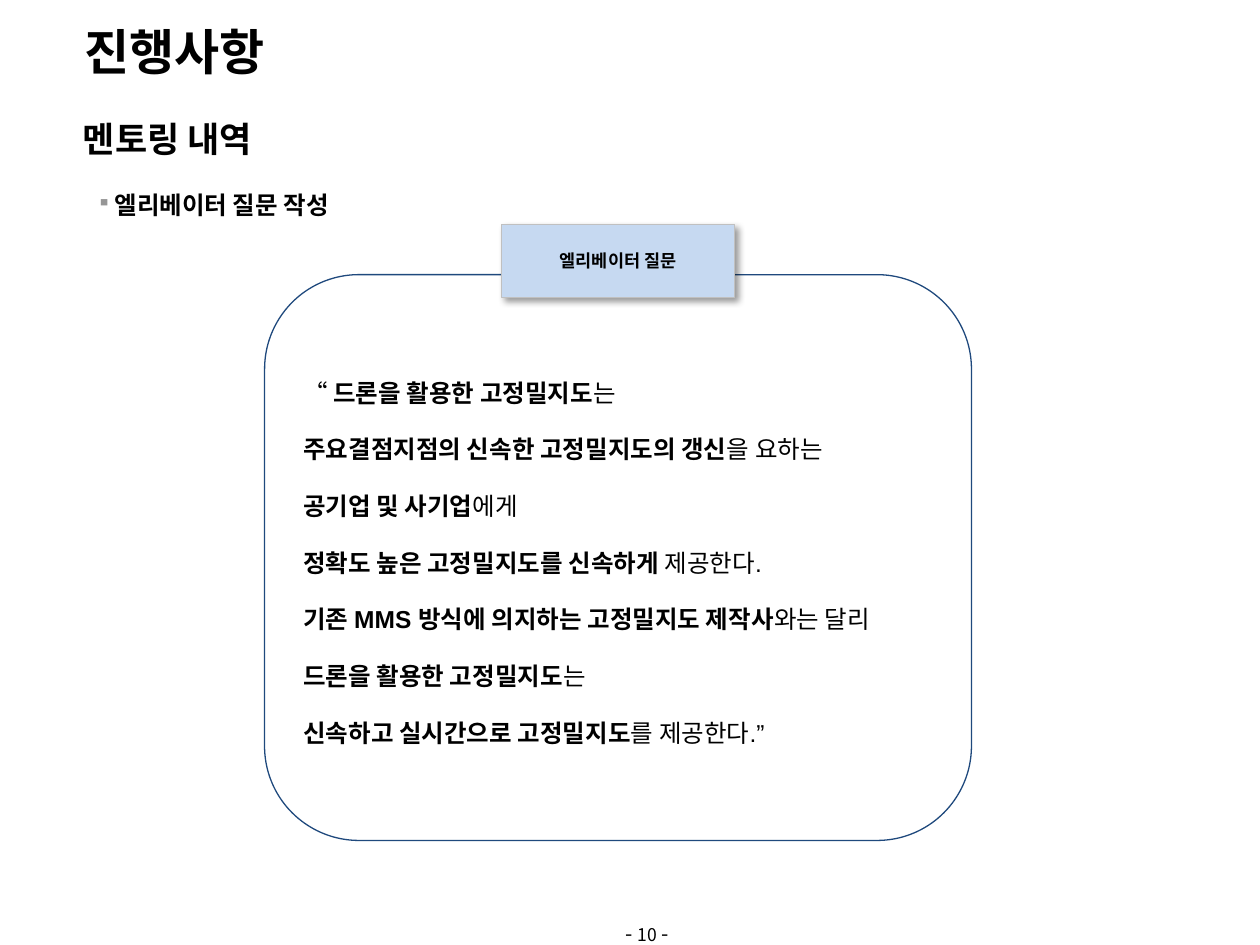
from lxml import etree
from pptx import Presentation
from pptx.dml.color import RGBColor
from pptx.enum.shapes import MSO_SHAPE
from pptx.enum.text import MSO_ANCHOR, PP_ALIGN
from pptx.oxml import parse_xml
from pptx.oxml.ns import nsdecls, qn
from pptx.util import Inches, Pt

LEFT, CENTER = PP_ALIGN.LEFT, PP_ALIGN.CENTER
TOP, MIDDLE = MSO_ANCHOR.TOP, MSO_ANCHOR.MIDDLE
TITLE_ONLY = 5
LATIN, KOREAN = "Arial", "Noto Sans CJK KR"
COLORS = {"text": "000000", "panel": "FFFFFF", "panel_line": "1F497D",
          "label": "C6D9F1", "label_line": "C0C0C0", "bullet": "969696"}

# Each line of the pitch: lead, stressed part, ending
PITCH = [
    ("“ ", "드론을 활용한 고정밀지도", "는"),
    ("", "주요결점지점의 신속한 고정밀지도의 갱신", "을 요하는"),
    ("", "공기업 및 사기업", "에게"),
    ("", "정확도 높은 고정밀지도를 신속하게", " 제공한다."),
    ("", "기존 MMS 방식에 의지하는 고정밀지도 제작사", "와는 달리"),
    ("", "드론을 활용한 고정밀지도", "는"),
    ("", "신속하고 실시간으로 고정밀지도", "를 제공한다.”"),
]


def rgb(name):
    return RGBColor.from_string(COLORS[name])


def set_values(target, values):
    for name, value in values.items():
        setattr(target, name, value)


def place(shape, left, top, width, height):
    set_values(shape, {"left": Inches(left), "top": Inches(top),
                       "width": Inches(width), "height": Inches(height)})


def add_span(para, text, size, bold=True, font=LATIN):
    span = para.add_run()
    span.text = text
    set_values(span.font, {"name": font, "size": Pt(size), "bold": bold})
    span.font.color.rgb = rgb("text")
    east_asian = etree.SubElement(span.font._element, qn("a:ea"))
    east_asian.set("typeface", KOREAN)


def add_box(slide, left, top, width, height, wrap=True):
    box = slide.shapes.add_textbox(*map(Inches, (left, top, width, height)))
    box.text_frame.word_wrap = wrap
    return box.text_frame


def add_panel(slide, kind, area, fill, line, line_width):
    panel = slide.shapes.add_shape(kind, *map(Inches, area))
    panel.shadow.inherit = False
    panel.fill.solid()
    panel.fill.fore_color.rgb = rgb(fill)
    panel.line.color.rgb = rgb(line)
    panel.line.width = Pt(line_width)
    return panel


def add_shadow(shape):
    effects = shape._element.spPr.find(qn("a:effectLst"))
    effects.append(parse_xml(
        f'<a:outerShdw {nsdecls("a")} blurRad="{Pt(4)}" dist="{Pt(3)}" '
        'dir="2700000" algn="tl" rotWithShape="0"><a:srgbClr val="000000">'
        '<a:alpha val="40000"/></a:srgbClr></a:outerShdw>'))


def add_bullet(para, indent):
    properties = para._p.get_or_add_pPr()
    properties.set("marL", str(Inches(indent)))
    properties.set("indent", str(-Inches(indent)))
    for xml in (f'<a:buClr {nsdecls("a")}><a:srgbClr val="{COLORS["bullet"]}"/></a:buClr>',
                f'<a:buSzPct {nsdecls("a")} val="80000"/>',
                f'<a:buChar {nsdecls("a")} char="▪"/>'):
        properties.append(parse_xml(xml))


def add_headings(slide):
    title = slide.shapes.title
    place(title, 0.57, 0.12, 4.2, 0.57)
    set_values(title.text_frame, {"vertical_anchor": TOP, "word_wrap": True})
    para = title.text_frame.paragraphs[0]
    para.alignment = LEFT
    add_span(para, "진행사항", 28)

    subtitle = add_box(slide, 0.56, 0.88, 1.7, 0.44, wrap=False)
    add_span(subtitle.paragraphs[0], "멘토링 내역", 20)

    para = add_box(slide, 0.67, 1.46, 3.48, 0.34).paragraphs[0]
    para.space_before = Pt(1.4)
    add_bullet(para, 0.14)
    add_span(para, "엘리베이터 질문 작성", 14)


def add_label(slide):
    label = add_panel(slide, MSO_SHAPE.RECTANGLE, (3.98, 1.78, 1.85, 0.58),
                      "label", "label_line", 0.5)
    add_shadow(label)
    set_values(label.text_frame, {"vertical_anchor": MIDDLE, "word_wrap": False,
                                  "margin_top": 0, "margin_bottom": 0})
    para = label.text_frame.paragraphs[0]
    para.alignment = CENTER
    add_span(para, "엘리베이터 질문", 10)


def add_pitch(slide):
    frame = add_box(slide, 2.31, 2.8, 5.2, 3.18)
    for index, (lead, stressed, ending) in enumerate(PITCH):
        para = frame.add_paragraph() if index else frame.paragraphs[0]
        set_values(para, {"line_spacing": Pt(27.4), "space_after": Pt(5)})
        for text, bold in ((lead, False), (stressed, True), (ending, False)):
            if text:
                add_span(para, text, 14, bold)


def add_page_number(slide):
    para = add_box(slide, 4.69, 7.26, 0.9, 0.3).paragraphs[0]
    para.alignment = CENTER
    for text, size in (("- ", 12), ("10", 10), (" -", 12)):
        add_span(para, text, size, bold=False, font=KOREAN)


def main():
    deck = Presentation()
    set_values(deck, {"slide_width": Inches(10), "slide_height": Inches(7.5)})
    slide = deck.slides.add_slide(deck.slide_layouts[TITLE_ONLY])
    add_page_number(slide)
    add_headings(slide)
    add_panel(slide, MSO_SHAPE.ROUNDED_RECTANGLE, (2.1, 2.18, 5.61, 4.49),
              "panel", "panel_line", 0.75)
    add_label(slide)
    add_pitch(slide)
    deck.save("out.pptx")


if __name__ == "__main__":
    main()
